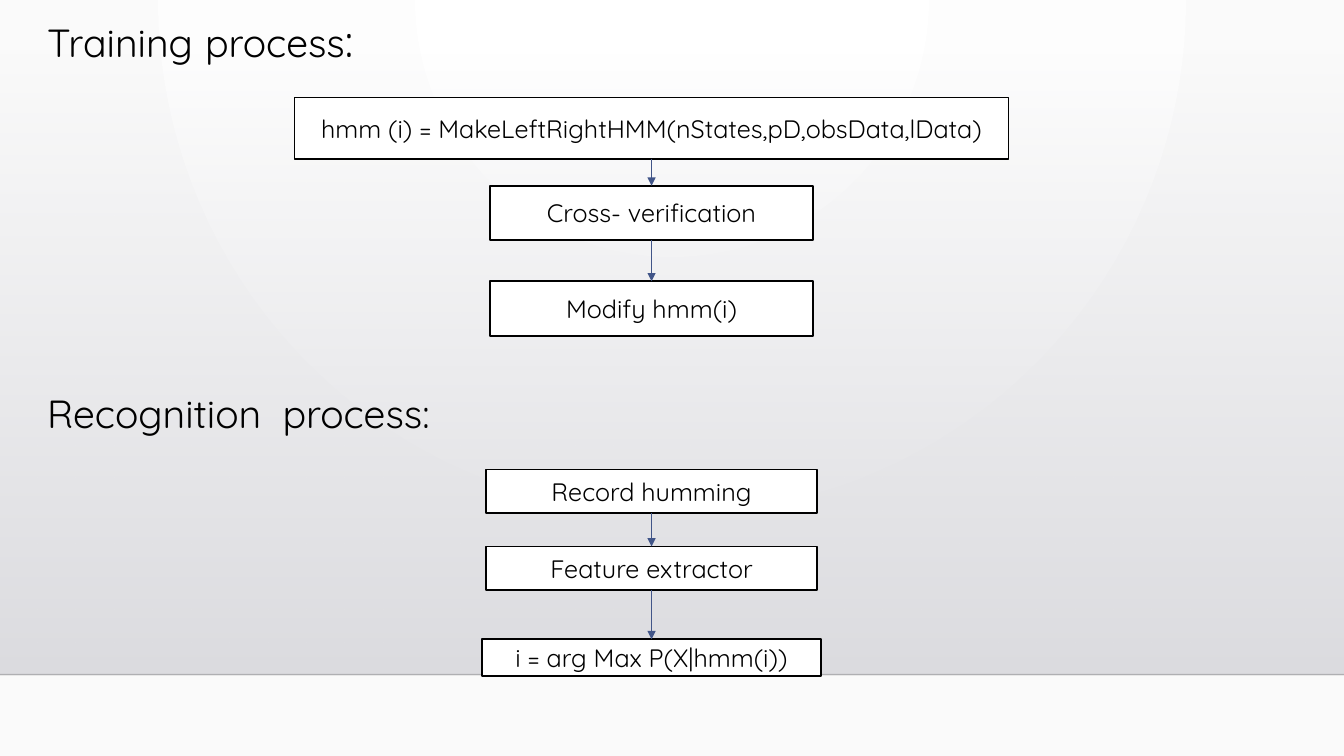
from lxml.etree import SubElement
from pptx import Presentation
from pptx.dml.color import RGBColor
from pptx.enum.shapes import MSO_CONNECTOR as Connector, MSO_SHAPE as Shape
from pptx.enum.text import MSO_ANCHOR as Anchor, PP_ALIGN as Align
from pptx.oxml.ns import qn
from pptx.util import Cm, Pt

FONT = "Quicksand"
SLIDE_WIDTH, SLIDE_HEIGHT = 33.87, 19.05
FLOOR = 17
AXIS = 16.42
HEADING_LEFT = 0.94

TRAINING_STEPS = [
    ("hmm (i) = MakeLeftRightHMM(nStates,pD,obsData,lData)", 2.46, 18, 1.54),
    ("Cross- verification", 4.68, 8.13, 1.37),
    ("Modify hmm(i)", 7.09, 8.13, 1.37),
]
RECOGNITION_STEPS = [
    ("Record humming", 11.83, 8.36, 1.1),
    ("Feature extractor", 13.77, 8.36, 1.1),
    ("i = arg Max P(X|hmm(i))", 16.11, 8.56, 0.92),
]


def color(value):
    return RGBColor.from_string(value)


def style_line(line, value, width):
    line.color.rgb = color(value)
    line.width = Pt(width)


def set_opacity(color_element, percent):
    SubElement(color_element, qn("a:alpha"), val=str(percent * 1000))


def set_gradient(fill, start, end):
    fill.gradient()
    for stop, position, value in zip(fill.gradient_stops, (0, 1), (start, end)):
        stop.position = position
        stop.color.rgb = color(value)


def paint_background(slide):
    set_gradient(slide.background.fill, "FFFFFF", "FAFAFA")
    gradient = next(slide.element.iter(qn("a:gradFill")))
    for linear in gradient.findall(qn("a:lin")):
        gradient.remove(linear)
    circle = SubElement(gradient, qn("a:path"), path="circle")
    SubElement(circle, qn("a:fillToRect"), l="43000", t="0", r="43000", b="100000")


def add_wall(slide):
    top = 1.3
    wall = slide.shapes.add_shape(
        Shape.RECTANGLE, 0, Cm(top), Cm(SLIDE_WIDTH), Cm(FLOOR - top))
    wall.shadow.inherit = False
    wall.line.fill.background()
    set_gradient(wall.fill, "DCDCE0", "DEDEE2")
    wall.fill.gradient_angle = 270
    set_opacity(next(wall.element.iter(qn("a:srgbClr"))), 0)


def add_line(slide, start, end, value, width):
    line = slide.shapes.add_connector(
        Connector.STRAIGHT, *(Cm(length) for length in start + end))
    style_line(line.line, value, width)
    SubElement(line.element.spPr, qn("a:effectLst"))
    return line


def add_floor_line(slide):
    line = add_line(slide, (0, FLOOR), (SLIDE_WIDTH, FLOOR), "000001", 1)
    set_opacity(next(line.element.spPr.iter(qn("a:srgbClr"))), 20)


def add_arrow(slide, upper, lower):
    arrow = add_line(slide, (0, 0), (0, 0), "415588", 0.75)
    arrow.begin_connect(upper, 2)
    arrow.end_connect(lower, 0)
    outline = arrow.element.spPr.find(qn("a:ln"))
    SubElement(outline, qn("a:tailEnd"), type="triangle")


def format_run(run, size):
    run.font.name = FONT
    run.font.size = Pt(size)
    run.font.color.rgb = color("000000")


def add_heading(slide, top, parts, line_spacing=1.0):
    heading = slide.shapes.add_textbox(
        Cm(HEADING_LEFT), Cm(top), Cm(26.67), Cm(1.45))
    heading.text_frame.word_wrap = True
    paragraph = heading.text_frame.paragraphs[0]
    paragraph.line_spacing = line_spacing
    for text, size in parts:
        run = paragraph.add_run()
        run.text = text
        format_run(run, size)


def add_box(slide, text, top, width, height):
    box = slide.shapes.add_shape(
        Shape.RECTANGLE, Cm(AXIS - width / 2), Cm(top), Cm(width), Cm(height))
    box.shadow.inherit = False
    box.fill.solid()
    box.fill.fore_color.rgb = color("FFFFFF")
    style_line(box.line, "000000", 1.25)
    frame = box.text_frame
    frame.text = text
    frame.word_wrap = True
    frame.vertical_anchor = Anchor.MIDDLE
    paragraph = frame.paragraphs[0]
    paragraph.alignment = Align.CENTER
    format_run(paragraph.runs[0], 18)
    return box


def add_flow(slide, steps):
    boxes = [add_box(slide, *step) for step in steps]
    for upper, lower in zip(boxes, boxes[1:]):
        add_arrow(slide, upper, lower)


def main():
    presentation = Presentation()
    presentation.slide_width = Cm(SLIDE_WIDTH)
    presentation.slide_height = Cm(SLIDE_HEIGHT)
    slide = presentation.slides.add_slide(presentation.slide_layouts[6])
    paint_background(slide)
    add_wall(slide)
    add_floor_line(slide)
    add_heading(
        slide, 0.36,
        [("Training", 28), (" ", 32), ("process", 28), (":", 32)], 0.9)
    add_flow(slide, TRAINING_STEPS)
    add_heading(slide, 9.68, [("Recognition  process:", 28)])
    add_flow(slide, RECOGNITION_STEPS)
    presentation.save("out.pptx")


main()
